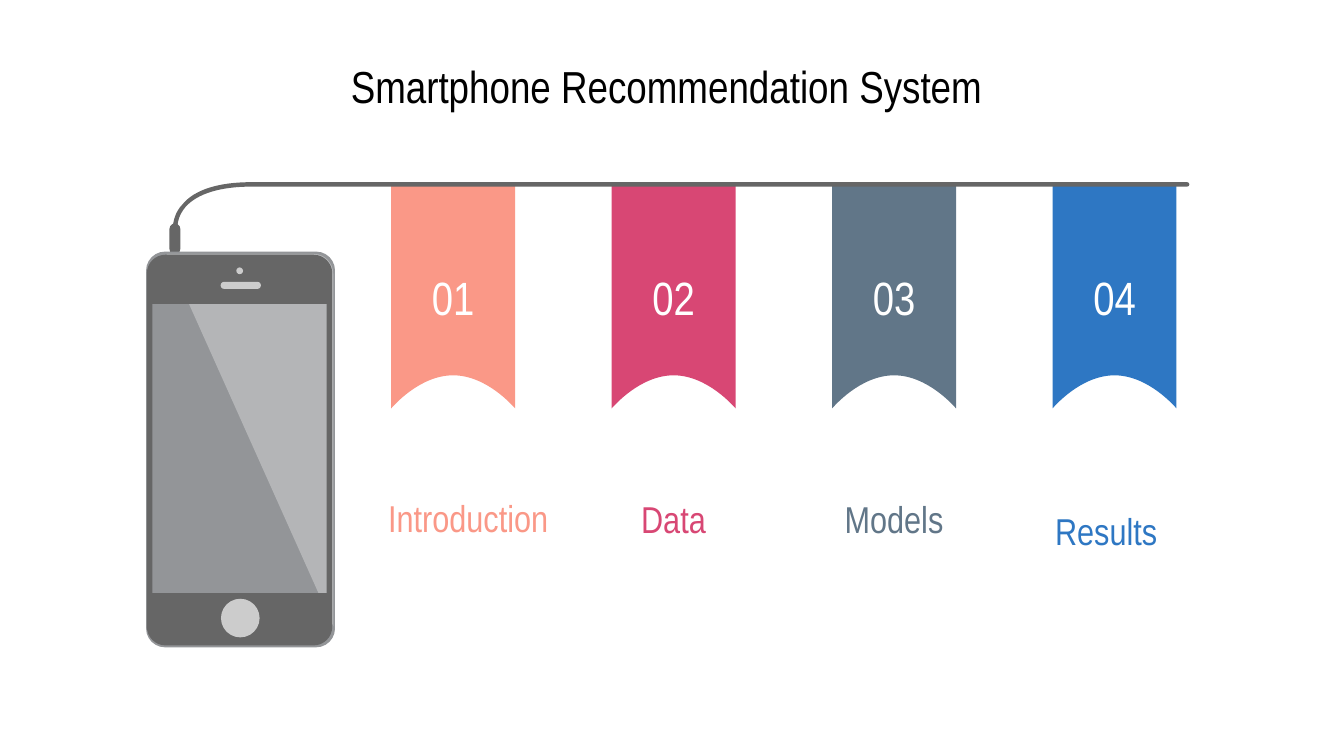
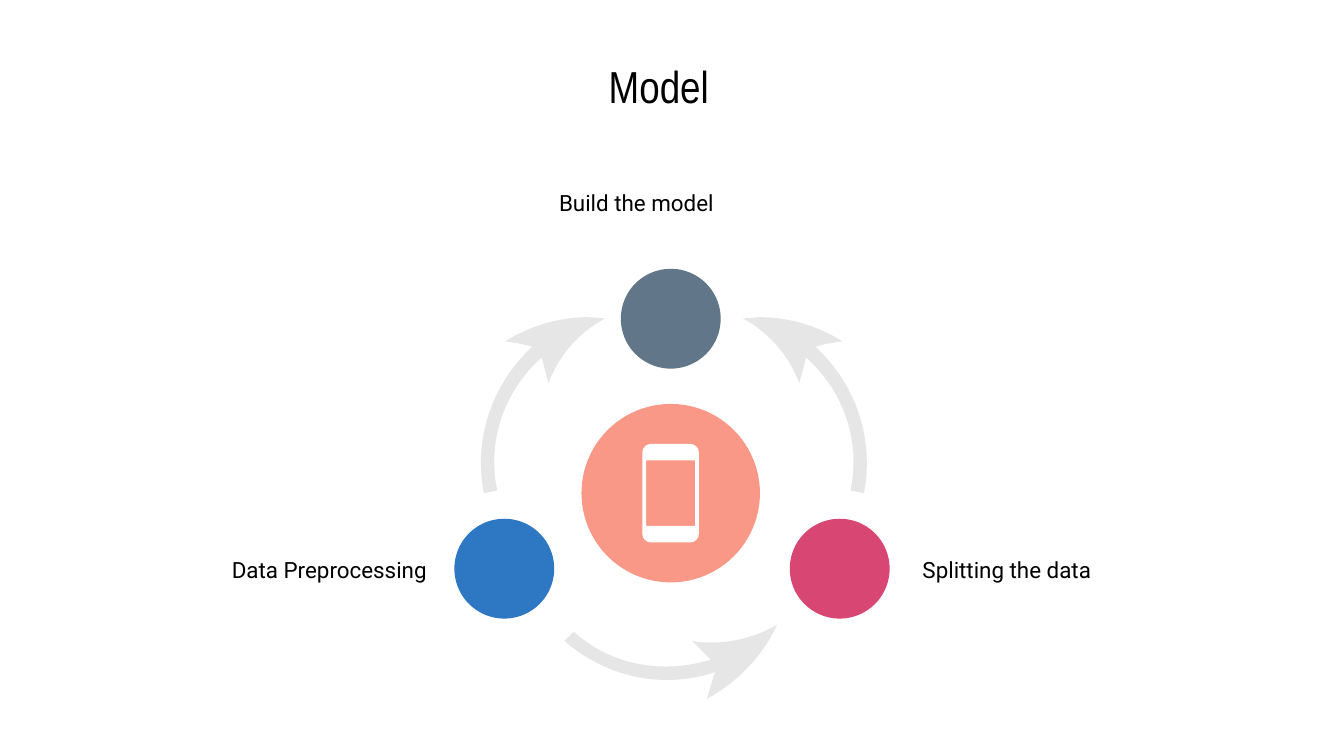
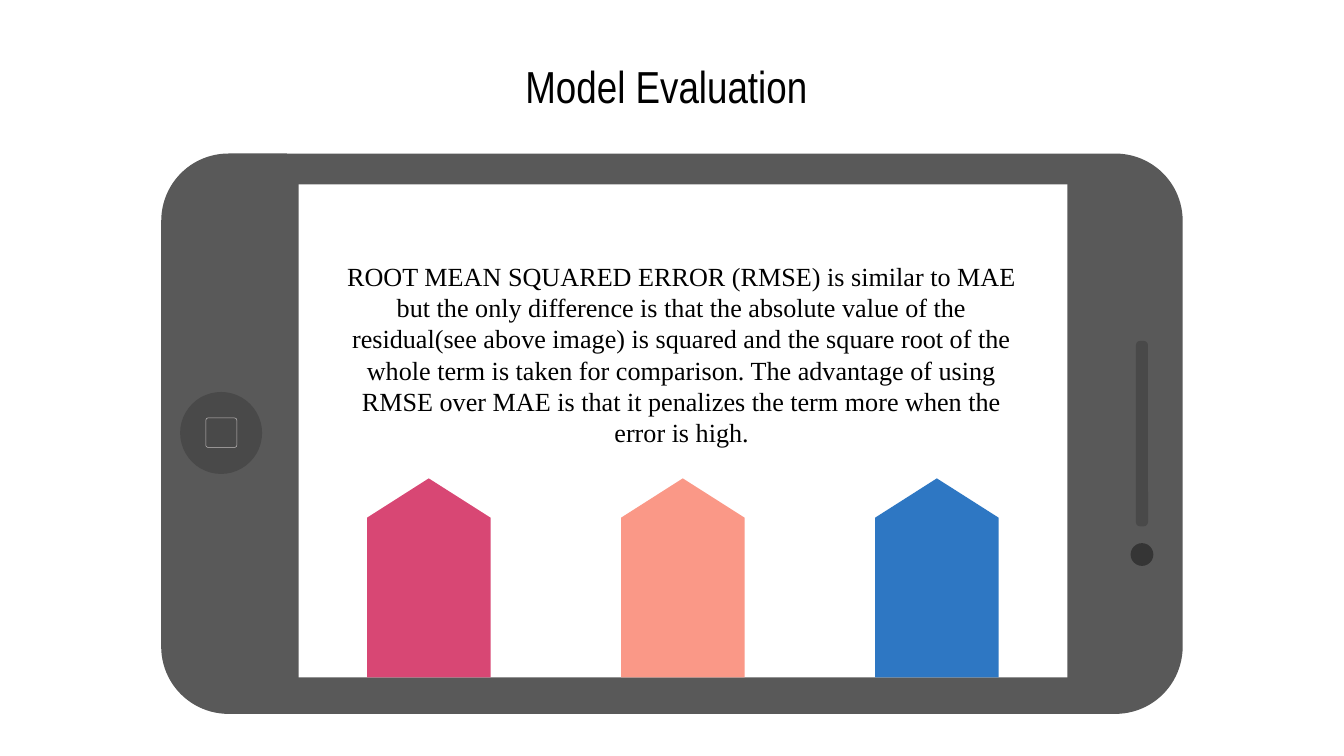
from dataclasses import dataclass

from lxml import etree
from pptx import Presentation
from pptx import util as u
from pptx.dml.color import RGBColor
from pptx.enum import shapes, text
from pptx.oxml.ns import qn


@dataclass(frozen=True)
class Theme:
    black: str = "000000"
    white: str = "FFFFFF"
    coral: str = "FA9887"
    pink: str = "D84774"
    slate: str = "617688"
    blue: str = "2E77C3"
    arrow: str = "E6E6E6"
    frame: str = "666666"
    rim: str = "939598"
    detail: str = "CCCCCC"
    case: str = "595959"
    button: str = "494949"
    lens: str = "353535"
    hairline: str = "C1BDBD"
    heading: str = "Arial Narrow"
    label: str = "Roboto"
    prose: str = "Times New Roman"
    title_size: int = 24
    number_size: int = 25
    section_size: int = 20
    step_size: int = 12
    prose_size: int = 14


T = Theme()
OVAL = shapes.MSO_SHAPE.OVAL
RECT = shapes.MSO_SHAPE.RECTANGLE
ROUND = shapes.MSO_SHAPE.ROUNDED_RECTANGLE
PLATE = shapes.MSO_SHAPE.PENTAGON
LEFT, CENTER, RIGHT = text.PP_ALIGN.LEFT, text.PP_ALIGN.CENTER, text.PP_ALIGN.RIGHT

# Content: section name, colour, label top, width, height and right inset
SECTIONS = [
    ("Introduction", T.coral, 269, 110.2, 16.6, 4.8),
    ("Data", T.pink, 269, 89.3, 18, 0),
    ("Models", T.slate, 269, 89.3, 18, 0),
    ("Results", T.blue, 275.2, 89.3, 18, 8.8),
]
# Step, colour, circle corner, label corner, label format
STEPS = [
    ("Data Preprocessing", T.blue, (243.4, 277.9), (73, 288.3),
     dict(align=RIGHT, inset=(7.2, 7.2, 3.4, 7.2))),
    ("Build the model", T.slate, (332.6, 144), (280.1, 91.4),
     dict(align=LEFT, inset=(19.4, 7.2, 7.2, 7.2))),
    ("Splitting the data", T.pink, (423.1, 277.9), (494.2, 288.3),
     dict(align=LEFT, inset=(0, 7.2, 7.2, 7.2))),
]
RMSE_TEXT = (
    "ROOT MEAN SQUARED ERROR (RMSE) is similar to MAE but the only difference "
    "is that the absolute value of the residual(see above image) is squared and "
    "the square root of the whole term is taken for comparison. The advantage of "
    "using RMSE over MAE is that it penalizes the term more when the error is high."
)
PLATES = [T.pink, T.coral, T.blue]

# Outlines: a pair is a straight line to a point, six numbers are a curve
SIDE_ARROW = [
    (315.4, 169.9),
    (300.2, 169.9, 284.4, 174.2, 270.7, 182.9),
    (275.8, 183.6, 280.8, 184.3, 285.1, 185.8),
    (264.2, 205.2, 253.4, 234, 259.2, 264.2),
    (266.4, 262.8),
    (260.6, 235.4, 270.7, 208.8, 290.2, 191.5),
    (293.8, 205.2),
    (298.8, 192.2, 308.2, 179.3, 324, 170.6),
]
BOTTOM_ARROW = [
    (416.2, 334.8),
    (404.6, 341.3, 393.1, 344.2, 381.6, 344.2),
    (378, 344.2, 374.4, 344.2, 370.8, 343.4),
    (380.9, 353.5),
    (373, 355.7, 365, 357.1, 357.1, 357.1),
    (339.1, 357.1, 321.8, 351.4, 307.4, 338.4),
    (302.4, 343.4),
    (318.2, 357.1, 337.7, 364.3, 357.1, 364.3),
    (365.8, 364.3, 375.1, 362.9, 383, 360),
    (378.7, 374.4),
    (396, 365, 409, 350.6, 416.2, 334.8),
]
CABLE = [
    (134.6, 97.6),
    (117.4, 97.6, 104.4, 101.5, 97.9, 109.4),
    (93.6, 113.8, 92.9, 118.8, 92.5, 122),
    (95.2, 122),
    (95, 119.5, 95.8, 115.2, 99.4, 110.9),
    (105.8, 103.7, 118.1, 100, 134.6, 100),
    (636, 100),
    (637.6, 100, 637.6, 97.6, 636, 97.6),
]
GLARE = [
    (89.3, 136.1), (178.6, 335.5), (178.6, 146.9),
    (178.6, 141, 174, 136.1, 168.5, 136.1),
]


# Outline geometry
def mirrored(outline, axis):
    return [tuple(2 * axis - value if i % 2 == 0 else value
                  for i, value in enumerate(part)) for part in outline]


def rect_outline(x, y, w, h):
    return [(x, y), (x, y + h), (x + w, y + h), (x + w, y)]


def round_outline(x, y, w, h, r):
    k, right, bottom = r * 0.45, x + w, y + h
    return [
        (x + r, y), (right - r, y),
        (right - k, y, right, y + k, right, y + r), (right, bottom - r),
        (right, bottom - k, right - k, bottom, right - r, bottom), (x + r, bottom),
        (x + k, bottom, x, bottom - k, x, bottom - r), (x, y + r),
        (x, y + k, x + k, y, x + r, y),
    ]


# Drawing helpers
def paint(shape, fill=None, line=None, alpha=None):
    shape.shadow.inherit = False
    if fill:
        shape.fill.solid()
        shape.fill.fore_color.rgb = RGBColor.from_string(fill)
    else:
        shape.fill.background()
    if line:
        shape.line.color.rgb = RGBColor.from_string(line)
        shape.line.width = u.Pt(0.28)
    else:
        shape.line.fill.background()
    if alpha is not None:
        color = shape.fill._xPr.find(".//" + qn("a:srgbClr"))
        etree.SubElement(color, qn("a:alpha")).set("val", str(alpha * 1000))
    return shape


def add_outline(page, *outlines, **look):
    """Lay all points as lines, then join each curve's three points into one."""
    builder = None
    for outline in outlines:
        points = [(u.Pt(part[i]), u.Pt(part[i + 1]))
                  for part in outline for i in range(0, len(part), 2)]
        if builder is None:
            builder = page.shapes.build_freeform(*points[0])
        else:
            builder.move_to(*points[0])
        builder.add_line_segments(points[1:], close=True)
    shape = builder.convert_to_shape()
    segments = iter(list(shape._element.iter(qn("a:lnTo"))))
    for part in (part for outline in outlines for part in outline[1:]):
        first = next(segments)
        if len(part) == 6:
            first.tag = qn("a:cubicBezTo")
            for _ in range(2):
                extra = next(segments)
                first.append(extra[0])
                extra.getparent().remove(extra)
    return paint(shape, **look)


def add_preset(page, kind, x, y, w, h, adjust=None, turn=0, **look):
    shape = page.shapes.add_shape(kind, u.Pt(x), u.Pt(y), u.Pt(w), u.Pt(h))
    if adjust is not None:
        shape.adjustments[0] = adjust
    shape.rotation = turn
    return paint(shape, **look)


def write(box, words, *, font, size, color, align=CENTER, inset=(0, 0, 0, 0)):
    frame = box.text_frame
    frame.word_wrap = True
    frame.vertical_anchor = text.MSO_ANCHOR.MIDDLE
    (frame.margin_left, frame.margin_top,
     frame.margin_right, frame.margin_bottom) = [u.Pt(side) for side in inset]
    para = frame.paragraphs[0]
    para.alignment = align
    span = para.add_run()
    span.text = words
    span.font.name = font
    span.font.size = u.Pt(size)
    span.font.color.rgb = RGBColor.from_string(color)


def add_text(page, words, x, y, w, h, **style):
    write(page.shapes.add_textbox(u.Pt(x), u.Pt(y), u.Pt(w), u.Pt(h)), words, **style)


def add_page(deck, title, align=CENTER, inset=(7.2, 7.2, 12.4, 7.2)):
    page = deck.slides.add_slide(deck.slide_layouts[6])
    add_text(page, title, 167, 30.6, 385.2, 30.2, font=T.heading,
             size=T.title_size, color=T.black, align=align, inset=inset)
    return page


def build_agenda(deck):
    page = add_page(deck, "Smartphone Recommendation System")
    # Ribbons with labels
    top, bottom, width, pitch = 99, 218.8, 66.4, 118.1
    for i, (name, color, label_top, label_width, label_height, gap) in enumerate(SECTIONS):
        left = 209.6 + i * pitch
        right, middle, arch = left + width, left + width / 2, bottom - 17.7
        ribbon = add_outline(page, [
            (left, top), (left, bottom),
            (left + 0.7, bottom - 0.7, left + 15, arch, middle, arch),
            (right - 15, arch, right - 0.7, bottom - 0.7, right, bottom),
            (right, top)], fill=color)
        write(ribbon, f"{i + 1:02}", font=T.heading, size=T.number_size, color=T.white)
        add_text(page, name, left - 11.5, label_top, label_width, label_height,
                 font=T.heading, size=T.section_size, color=color, inset=(0, 0, gap, 0))
    # Cable and plug
    add_preset(page, ROUND, 90.8, 119.7, 5.8, 16.6, adjust=0.5, fill=T.frame)
    add_outline(page, CABLE, fill=T.frame)
    # Phone
    add_preset(page, ROUND, 78.3, 134.8, 101.2, 212, adjust=0.1, fill=T.rim)
    add_outline(page, GLARE, fill=T.white, alpha=31)
    add_outline(page, rect_outline(81.6, 162.8, 93.4, 155),
                round_outline(78.7, 136.5, 99.3, 209.3, 10), fill=T.frame)
    add_preset(page, ROUND, 118.2, 151, 21.6, 3.8, adjust=0.5, fill=T.detail)
    add_preset(page, OVAL, 126.6, 143.3, 3.6, 3.6, fill=T.detail)
    add_preset(page, OVAL, 118.4, 320.8, 20.7, 20.7, fill=T.detail)


def build_cycle(deck):
    page = add_page(deck, "Model", align=LEFT, inset=(159.1, 7.2, 7.2, 7.2))
    # Steps
    for name, color, circle, label, layout in STEPS:
        add_preset(page, OVAL, *circle, 53.5, 53.5, fill=color)
        add_text(page, name, *label, 159.1, 33.8, font=T.label, size=T.step_size,
                 color=T.black, **layout)
    # Hub and arrows
    add_preset(page, OVAL, 311.5, 216.4, 95.6, 95.6, fill=T.coral)
    for arrow in (SIDE_ARROW, BOTTOM_ARROW, mirrored(SIDE_ARROW, 361)):
        add_outline(page, arrow, fill=T.arrow)
    # Phone in the hub
    add_outline(page, rect_outline(346.1, 246.6, 26.3, 35.2),
                round_outline(344.1, 237.8, 30.3, 52.8, 4.6), fill=T.white)


def build_evaluation(deck):
    page = add_page(deck, "Model Evaluation")
    # Phone lying on its side
    add_preset(page, ROUND, 86.4, 82.3, 547.2, 300.2, adjust=0.12, fill=T.case)
    add_preset(page, ROUND, 608.5, 182.6, 6.5, 99.4, adjust=0.35, fill=T.button)
    add_preset(page, OVAL, 605.7, 291, 12.2, 12.2, fill=T.lens)
    add_preset(page, OVAL, 96.5, 210, 43.9, 43.9, fill=T.button)
    add_preset(page, ROUND, 110.3, 223.9, 16.6, 15.8, adjust=0.08, line=T.hairline)
    add_preset(page, RECT, 160, 98.8, 411.8, 264.2, fill=T.white)
    # Plates pointing up
    for i, color in enumerate(PLATES):
        add_preset(page, PLATE, 176.4 + i * 136.1, 276.5, 106.6, 66.2,
                   adjust=0.318, turn=270, fill=color)
    add_text(page, RMSE_TEXT, 183.8, 133.2, 362.9, 113, font=T.prose,
             size=T.prose_size, color=T.black)


def main():
    deck = Presentation()
    deck.slide_width, deck.slide_height = u.Pt(720), u.Pt(405)
    build_agenda(deck)
    build_cycle(deck)
    build_evaluation(deck)
    deck.save("out.pptx")


if __name__ == "__main__":
    main()
